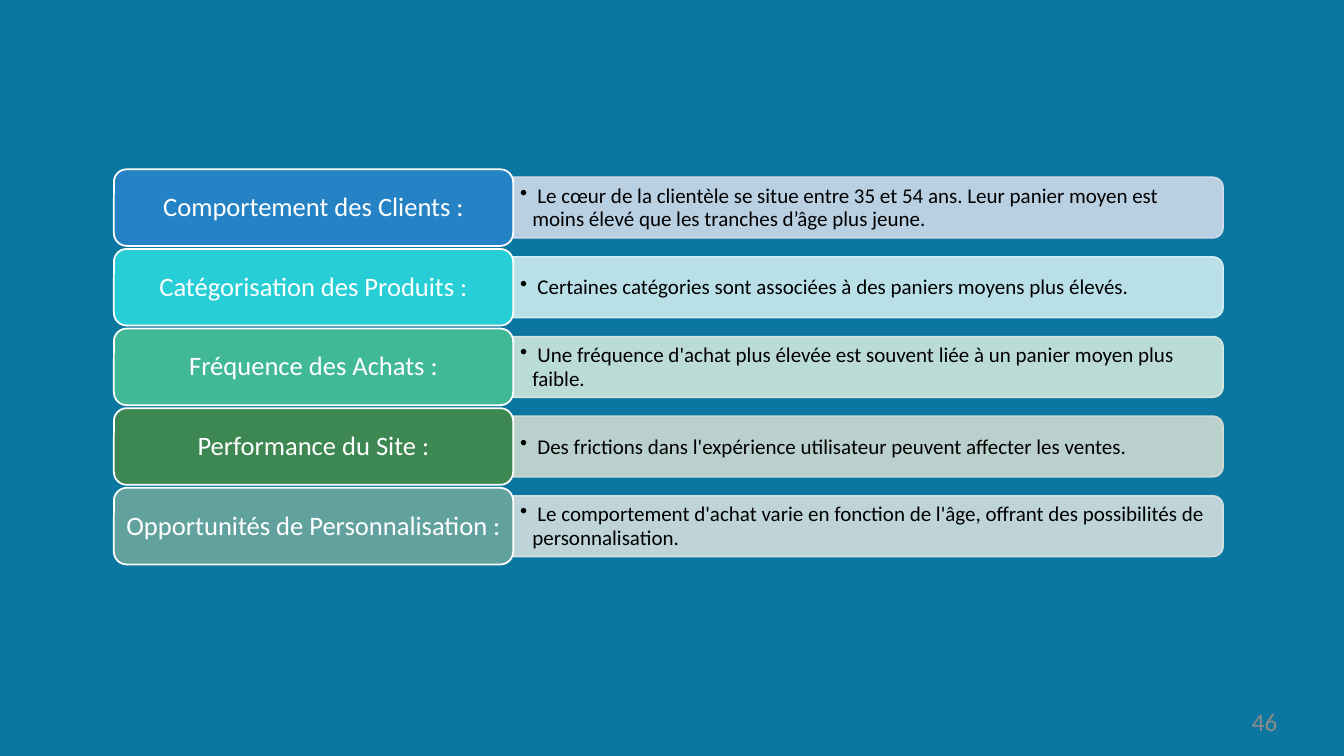
from math import cos, radians, sin

from lxml.etree import SubElement
from pptx import Presentation
from pptx.dml.color import RGBColor
from pptx.enum.shapes import MSO_SHAPE
from pptx.enum.text import MSO_ANCHOR, PP_ALIGN
from pptx.oxml.ns import qn
from pptx.util import Inches, Pt

COLORS = {
    "background": "0B76A0",
    "white": "FFFFFF",
    "black": "000000",
    "grey": "8C8C8C",
}

# Label, finding, label colour, bar colour
FINDINGS = [
    ("Comportement des Clients :",
     "Le cœur de la clientèle se situe entre 35 et 54 ans. Leur panier moyen est "
     "moins élevé que les tranches d’âge plus jeune.", "2583C5", "CDD9EA"),
    ("Catégorisation des Produits :",
     "Certaines catégories sont associées à des paniers moyens plus élevés.",
     "27CED6", "CDECEF"),
    ("Fréquence des Achats :",
     "Une fréquence d'achat plus élevée est souvent liée à un panier moyen plus faible.",
     "42B996", "CFE7DD"),
    ("Performance du Site :",
     "Des frictions dans l'expérience utilisateur peuvent affecter les ventes.",
     "3D8752", "CEDAD1"),
    ("Opportunités de Personnalisation :",
     "Le comportement d'achat varie en fonction de l'âge, offrant des possibilités de "
     "personnalisation.", "61A29F", "D2DFDF"),
]

LABEL_LEFT, LABEL_WIDTH, LABEL_HEIGHT = 1.13, 3.96, 0.76
BAR_LEFT, BAR_WIDTH, BAR_HEIGHT, BAR_RADIUS = 5.09, 7.04, 0.6, 0.1
FIRST_CENTER, ROW_PITCH = 2.06, 0.79


class SlideBuilder:
    def __init__(self, deck, font):
        self.font = font
        self.page = deck.slides.add_slide(deck.slide_layouts[6])
        fill = self.page.background.fill
        fill.solid()
        fill.fore_color.rgb = RGBColor.from_string(COLORS["background"])

    def paint(self, shape, fill, line):
        shape.shadow.inherit = False
        shape.fill.solid()
        shape.fill.fore_color.rgb = RGBColor.from_string(fill)
        shape.line.color.rgb = RGBColor.from_string(line)
        shape.line.width = Pt(1.25)

    def add_text(self, shape, text, size, color, align, margins=(0, 0, 0, 0)):
        frame = shape.text_frame
        frame.word_wrap = True
        frame.vertical_anchor = MSO_ANCHOR.MIDDLE
        (frame.margin_left, frame.margin_top,
         frame.margin_right, frame.margin_bottom) = map(Inches, margins)
        para = frame.paragraphs[0]
        para.alignment = align
        span = para.add_run()
        span.text = text
        span.font.name = self.font
        span.font.size = Pt(size)
        span.font.color.rgb = RGBColor.from_string(color)
        return para

    def bullet(self, para):
        properties = para._p.get_or_add_pPr()
        properties.set("marL", str(Inches(0.17)))
        properties.set("indent", str(Inches(-0.12)))
        SubElement(properties, qn("a:buChar"), char="•")
        tabs = SubElement(properties, qn("a:tabLst"))
        for stop in (0.17, 0.22):
            SubElement(tabs, qn("a:tab"), pos=str(Inches(stop)), algn="l")

    def bar(self, center, text, color):
        top, right = center - BAR_HEIGHT / 2, BAR_LEFT + BAR_WIDTH
        bottom, radius = top + BAR_HEIGHT, BAR_RADIUS
        points = [(BAR_LEFT, top)]
        # Rounded right corners, upper then lower
        for corner_y, start in ((top + radius, -90), (bottom - radius, 0)):
            for step in range(0, 91, 15):
                angle = radians(start + step)
                points.append((right - radius + radius * cos(angle),
                               corner_y + radius * sin(angle)))
        points.append((BAR_LEFT, bottom))
        points = [(Inches(x), Inches(y)) for x, y in points]
        outline = self.page.shapes.build_freeform(*points[0])
        outline.add_line_segments(points[1:], close=True)
        box = outline.convert_to_shape()
        self.paint(box, color, color)
        solid = box._element.spPr.find(qn("a:solidFill"))
        SubElement(solid[0], qn("a:alpha"), val="90000")
        para = self.add_text(box, "\t" + text, 15, COLORS["black"], PP_ALIGN.LEFT,
                             (0.02, 0, 0.15, 0))
        self.bullet(para)
        para.line_spacing = Pt(16.8)

    def label(self, center, text, color):
        box = self.page.shapes.add_shape(
            MSO_SHAPE.ROUNDED_RECTANGLE, Inches(LABEL_LEFT),
            Inches(center - LABEL_HEIGHT / 2), Inches(LABEL_WIDTH), Inches(LABEL_HEIGHT))
        self.paint(box, color, COLORS["white"])
        self.add_text(box, text, 19, COLORS["white"], PP_ALIGN.CENTER, (0, 0, 0, 0.03))

    def page_number(self, number):
        box = self.page.shapes.add_textbox(
            Inches(9.6), Inches(6.97), Inches(3.07), Inches(0.38))
        self.add_text(box, number, 18, COLORS["grey"], PP_ALIGN.RIGHT)


def main():
    deck = Presentation()
    deck.slide_width, deck.slide_height = Inches(13.33), Inches(7.5)
    slide = SlideBuilder(deck, "Calibri")

    # One row per finding, label over the end of its bar
    for row, (title, finding, label_color, bar_color) in enumerate(FINDINGS):
        center = FIRST_CENTER + row * ROW_PITCH
        slide.bar(center, finding, bar_color)
        slide.label(center, title, label_color)

    # Footer
    slide.page_number("46")
    deck.save("out.pptx")


if __name__ == "__main__":
    main()
